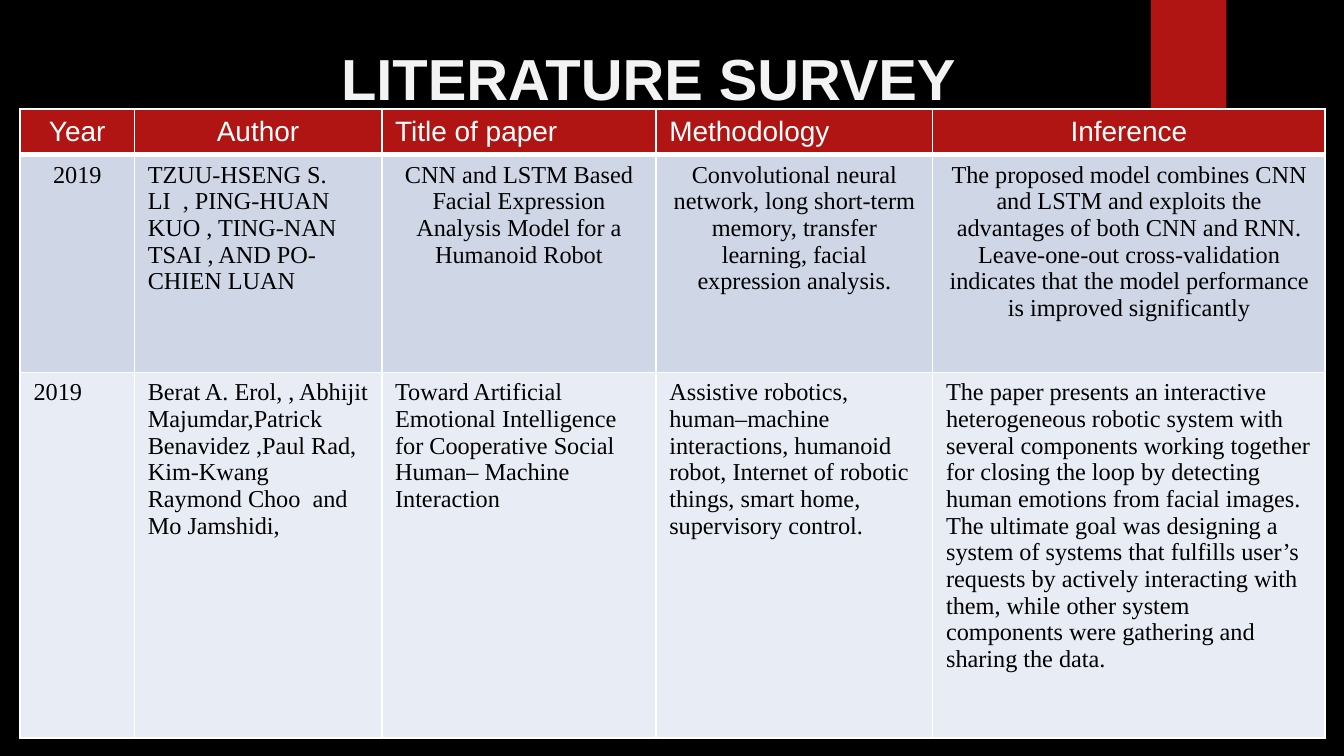
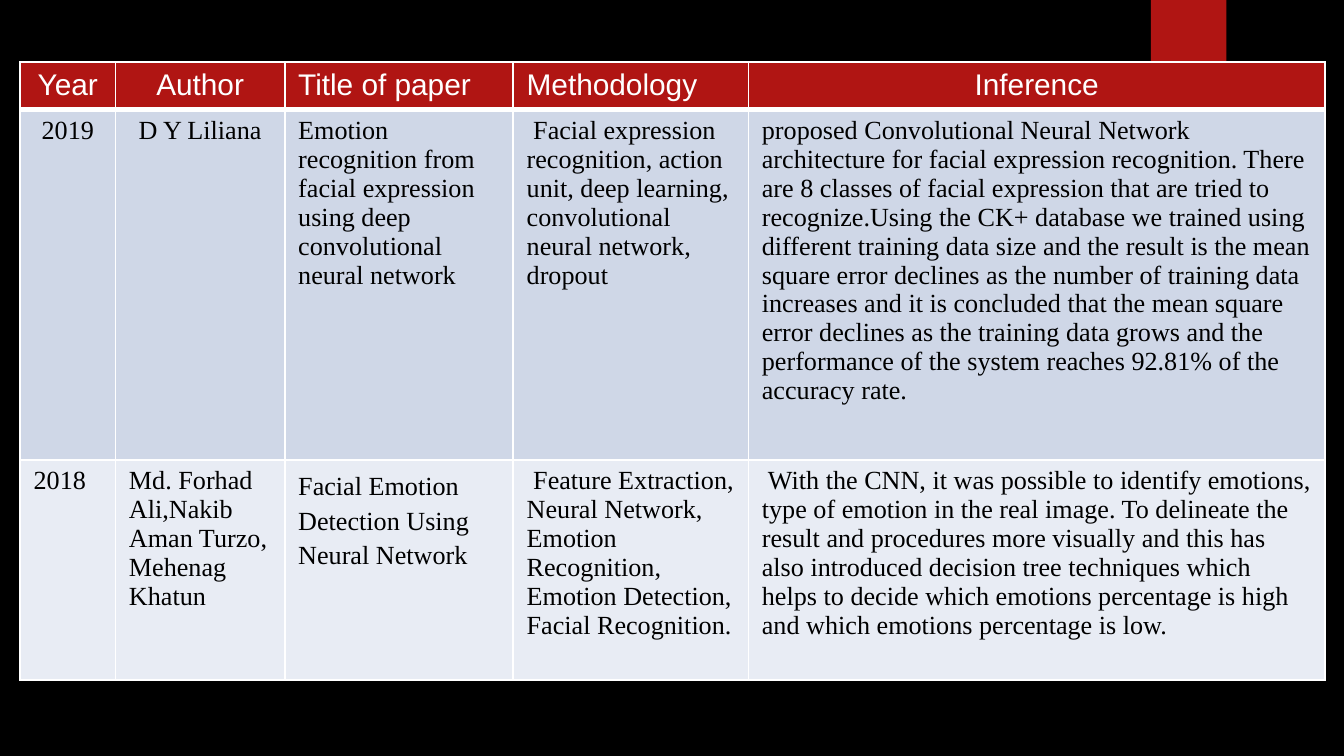
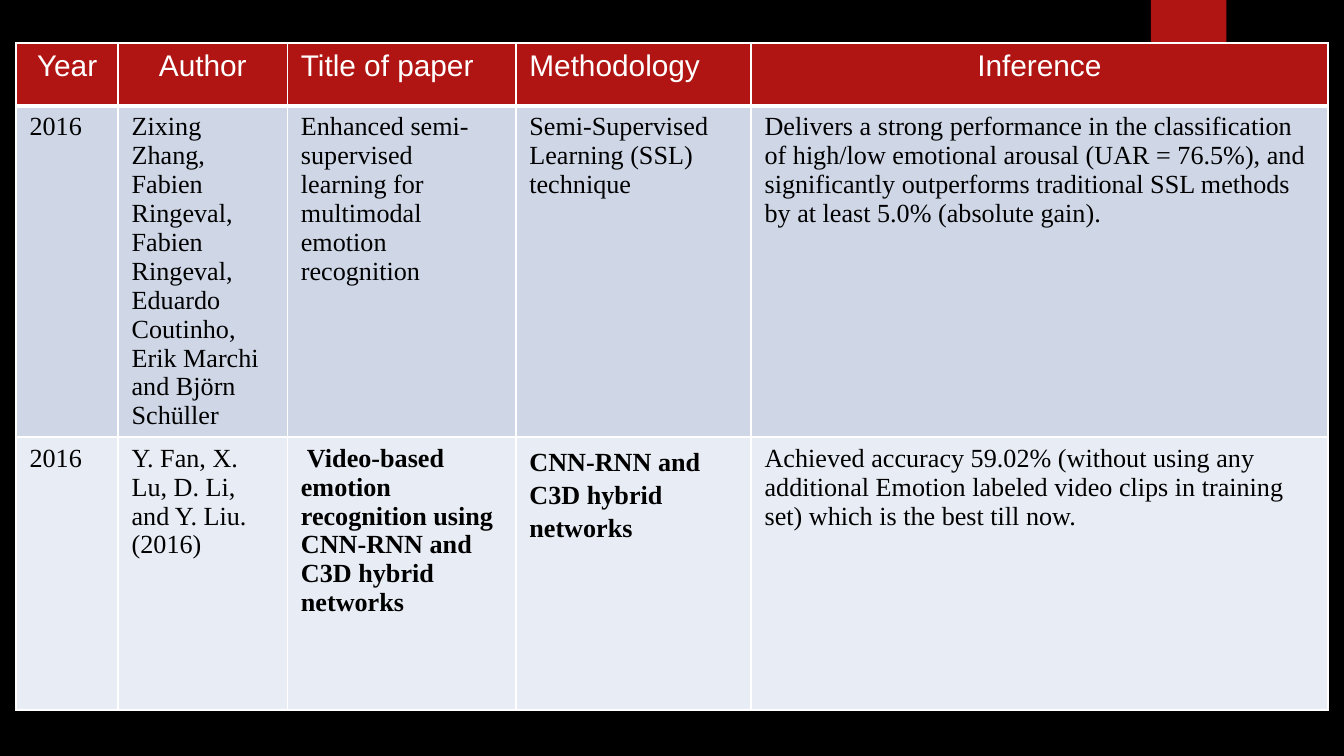
from dataclasses import dataclass
from typing import Any

from lxml.etree import SubElement as Sub
from pptx import Presentation as Deck
from pptx.dml.color import RGBColor as Rgb
from pptx.enum.shapes import MSO_SHAPE as Shape
from pptx.enum.text import MSO_ANCHOR as Anchor, PP_ALIGN as Align
from pptx.oxml.ns import qn
from pptx.util import Pt


@dataclass(frozen=True)
class Theme:
    back: str = "000000"
    red: str = "B01513"
    white: str = "FFFFFF"
    pale: str = "F3F3F3"
    ink: str = "000000"
    rows: tuple[str, ...] = ("B01513", "CFD7E7", "E8ECF4")
    sans: str = "Arial"
    serif: str = "Times New Roman"
    title: float = 31
    thin: float = 1
    thick: float = 3


@dataclass(frozen=True)
class Box:
    left: float
    top: float
    width: float
    height: float

    def pts(self) -> tuple[Pt, ...]:
        return Pt(self.left), Pt(self.top), Pt(self.width), Pt(self.height)


@dataclass(frozen=True)
class Cell:
    text: str
    mid: bool = False
    bold: bool = False
    lead: float | None = None


@dataclass(frozen=True)
class Page:
    left: float
    top: float
    cols: tuple[float, ...]
    rows: tuple[float, ...]
    head: float
    body: float
    cells: tuple[tuple[Cell, ...], ...]
    title: str = ""


LOOK = Theme()
BAND = Box(616.5, 0, 40.5, 67.5)
TITLE = Box(-8.64, 7.2, 720, 41.8)
HEAD = (
    Cell("Year", mid=True),
    Cell("Author", mid=True),
    Cell("Title of paper"),
    Cell("Methodology"),
    Cell("Inference", mid=True),
)

PAGES = (
    Page(
        10.8, 58.5, (61.2, 132.5, 146.9, 148.3, 210.2), (24.5, 116.6, 195.8), 15, 13,
        (
            (
                Cell("2019", mid=True),
                Cell("TZUU-HSENG S. LI  , PING-HUAN KUO , TING-NAN TSAI , AND PO-CHIEN LUAN"),
                Cell("CNN and LSTM Based Facial Expression Analysis Model for a Humanoid Robot", mid=True),
                Cell("Convolutional neural network, long short-term memory, transfer learning, "
                     "facial expression analysis.", mid=True),
                Cell("The proposed model combines CNN and LSTM and exploits the advantages of both "
                     "CNN and RNN. Leave-one-out cross-validation indicates that the model "
                     "performance is improved significantly", mid=True),
            ),
            (
                Cell("2019"),
                Cell("Berat A. Erol, , Abhijit Majumdar,Patrick Benavidez ,Paul Rad, "
                     "Kim-Kwang Raymond Choo  and Mo Jamshidi,"),
                Cell("Toward Artificial Emotional Intelligence for Cooperative Social "
                     "Human– Machine Interaction"),
                Cell("Assistive robotics, human–machine interactions, humanoid robot, Internet of "
                     "robotic things, smart home, supervisory control."),
                Cell("The paper presents an interactive heterogeneous robotic system with several "
                     "components working together for closing the loop by detecting human emotions "
                     "from facial images. The ultimate goal was designing a system of systems that "
                     "fulfills user’s requests by actively interacting with them, while other "
                     "system components were gathering and sharing the data."),
            ),
        ),
        "LITERATURE SURVEY ",
    ),
    Page(
        10.8, 33.1, (51.1, 90.7, 122.4, 126, 308.9), (25.6, 187.6, 118), 16, 14,
        (
            (
                Cell("2019", mid=True),
                Cell("D Y Liliana", mid=True),
                Cell("Emotion recognition from facial expression using deep convolutional neural network"),
                Cell(" Facial expression recognition, action unit, deep learning, convolutional "
                     "neural network, dropout"),
                Cell("proposed Convolutional Neural Network architecture for facial expression "
                     "recognition. There are 8 classes of facial expression that are tried to "
                     "recognize.Using the CK+ database we trained using different training data "
                     "size and the result is the mean square error declines as the number of "
                     "training data increases and it is concluded that the mean square error "
                     "declines as the training data grows and the performance of the system "
                     "reaches 92.81% of the accuracy rate."),
            ),
            (
                Cell("2018"),
                Cell("Md. Forhad Ali,Nakib Aman Turzo,\nMehenag Khatun"),
                Cell("Facial Emotion Detection Using Neural Network", lead=1.2),
                Cell(" Feature Extraction, Neural Network, Emotion Recognition, Emotion Detection, "
                     "Facial Recognition."),
                Cell(" With the CNN, it was possible to identify emotions, type of emotion in the "
                     "real image. To delineate the result and procedures more visually and this has "
                     "also introduced decision tree techniques which helps to decide which emotions "
                     "percentage is high and which emotions percentage is low."),
            ),
        ),
    ),
    Page(
        8.64, 23, (54.7, 90.7, 122.4, 126, 308.9), (33.8, 177.5, 146.2), 16, 14,
        (
            (
                Cell("2016"),
                Cell("Zixing Zhang, Fabien Ringeval, Fabien Ringeval, Eduardo Coutinho, "
                     "Erik Marchi and Björn Schüller"),
                Cell("Enhanced semi-supervised learning for multimodal emotion recognition"),
                Cell("Semi-Supervised Learning (SSL) technique"),
                Cell("Delivers a strong performance in the classification of high/low emotional "
                     "arousal (UAR = 76.5%), and significantly outperforms traditional SSL methods "
                     "by at least 5.0% (absolute gain)."),
            ),
            (
                Cell("2016"),
                Cell("Y. Fan, X. Lu, D. Li, and Y. Liu.(2016)"),
                Cell(" Video-based emotion recognition using CNN-RNN and C3D hybrid networks", bold=True),
                Cell("CNN-RNN and C3D hybrid networks", bold=True, lead=1.14),
                Cell("Achieved accuracy 59.02% (without using any additional Emotion labeled video "
                     "clips in training set) which is the best till now."),
            ),
        ),
    ),
)


def apply(item: Any, form: dict[str, Any]) -> None:
    for key, val in form.items():
        setattr(item, key, val)


def paint(fill: Any, tone: str) -> None:
    fill.solid()
    fill.fore_color.rgb = Rgb.from_string(tone)


def style(para: Any, face: str, size: float, tone: str, bold: bool) -> None:
    apply(para.font, {"name": face, "size": Pt(size), "bold": bold})
    para.font.color.rgb = Rgb.from_string(tone)


def border(cell: Any, row: int) -> None:
    props = cell._tc.get_or_add_tcPr()
    sides = {
        "L": LOOK.thin,
        "R": LOOK.thin,
        "T": LOOK.thick if row == 1 else LOOK.thin,
        "B": LOOK.thick if row == 0 else LOOK.thin,
    }
    for spot, (side, width) in enumerate(sides.items()):
        line = Sub(props, qn(f"a:ln{side}"), w=str(Pt(width)))
        fill = Sub(line, qn("a:solidFill"))
        Sub(fill, qn("a:srgbClr"), val=LOOK.white)
        props.insert(spot, line)


def fill_cell(cell: Any, data: Cell, row: int, page: Page) -> None:
    cell.text = data.text
    paint(cell.fill, LOOK.rows[row])
    border(cell, row)
    face, size, tone = (
        (LOOK.sans, page.head, LOOK.white) if row == 0
        else (LOOK.serif, page.body, LOOK.ink)
    )
    for para in cell.text_frame.paragraphs:
        apply(para, {
            "alignment": Align.CENTER if data.mid else Align.LEFT,
            "line_spacing": data.lead,
        })
        style(para, face, size, tone, data.bold)


def add_band(slide: Any) -> None:
    band = slide.shapes.add_shape(Shape.RECTANGLE, *BAND.pts())
    band.shadow.inherit = False
    paint(band.fill, LOOK.red)
    band.line.fill.background()


def add_title(slide: Any, text: str) -> None:
    title = slide.shapes.title
    apply(title, dict(zip(("left", "top", "width", "height"), TITLE.pts())))
    frame = title.text_frame
    frame.text = text
    apply(frame, {
        "vertical_anchor": Anchor.TOP,
        "word_wrap": True,
        "margin_left": Pt(7.2),
        "margin_right": Pt(7.2),
        "margin_top": Pt(15.6),
        "margin_bottom": Pt(0),
    })
    para = frame.paragraphs[0]
    para.alignment = Align.CENTER
    style(para, LOOK.sans, LOOK.title, LOOK.pale, True)


def add_grid(slide: Any, page: Page) -> None:
    box = Box(page.left, page.top, sum(page.cols), sum(page.rows))
    table = slide.shapes.add_table(len(page.rows), len(page.cols), *box.pts()).table
    table.horz_banding = False
    for col, width in zip(table.columns, page.cols):
        col.width = Pt(width)
    for row, high in zip(table.rows, page.rows):
        row.height = Pt(high)
    for row, line in enumerate((HEAD, *page.cells)):
        for col, data in enumerate(line):
            fill_cell(table.cell(row, col), data, row, page)


def main() -> None:
    deck = Deck()
    apply(deck, {"slide_width": Pt(720), "slide_height": Pt(405)})
    paint(deck.slide_master.background.fill, LOOK.back)
    for page in PAGES:
        slide = deck.slides.add_slide(deck.slide_layouts[5 if page.title else 6])
        add_band(slide)
        if page.title:
            add_title(slide, page.title)
        add_grid(slide, page)
    deck.save("out.pptx")


if __name__ == "__main__":
    main()
